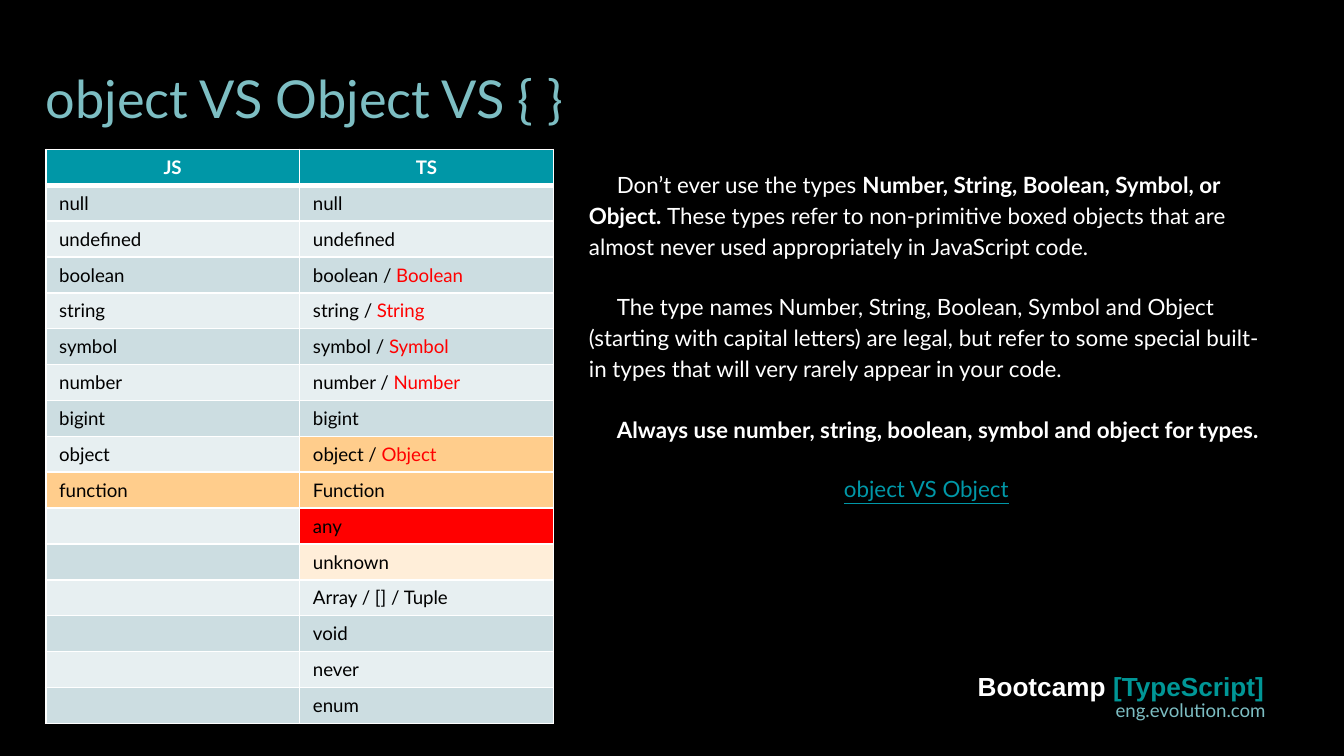
from dataclasses import dataclass

from lxml import etree
from pptx import Presentation
from pptx.dml.color import RGBColor
from pptx.enum import text
from pptx.oxml import ns
from pptx.util import Pt

COLORS = {
    "black": "000000", "white": "FFFFFF", "pale_teal": "7DBEC3",
    "teal": "009696", "header": "0097A7", "dark_band": "CCDDE1",
    "light_band": "E7EFF1", "red": "FF0000", "orange": "FFCD8C",
    "cream": "FFEED9",
}
ALIGN = text.PP_ALIGN
ROW_HEIGHT = 19.2
COLUMN_WIDTH = 136


@dataclass
class Run:
    text: str
    color: str | None = None
    bold: bool | None = None


@dataclass
class Style:
    size: float
    color: str
    font: str = "Lato"
    bold: bool = False
    underline: bool = False
    align: ALIGN = ALIGN.LEFT


@dataclass
class TypeRow:
    js: str
    ts: str
    boxed: str = ""
    js_fill: str | None = None
    ts_fill: str | None = None


TYPE_ROWS = [
    TypeRow("null", "null"),
    TypeRow("undefined", "undefined"),
    TypeRow("boolean", "boolean / ", "Boolean"),
    TypeRow("string", "string / ", "String"),
    TypeRow("symbol", "symbol / ", "Symbol"),
    TypeRow("number", "number / ", "Number"),
    TypeRow("bigint", "bigint"),
    TypeRow("object", "object / ", "Object", ts_fill="orange"),
    TypeRow("function", "Function", js_fill="orange", ts_fill="orange"),
    TypeRow("", "any", ts_fill="red"),
    TypeRow("", "unknown", ts_fill="cream"),
    TypeRow("", "Array / [] / Tuple"),
    TypeRow("", "void"),
    TypeRow("", "never"),
    TypeRow("", "enum"),
]

ADVICE = [
    [Run("Don’t ever use the types "),
     Run("Number, String, Boolean, Symbol, or Object. ", bold=True),
     Run("These types refer to non-primitive boxed objects that are "
         "almost never used appropriately in JavaScript code.")],
    [Run("The type names Number, String, Boolean, Symbol and Object "
         "(starting with capital letters) are legal, but refer to some special "
         "built-in types that will very rarely appear in your code.")],
    [Run("Always use number, string, boolean, symbol and object for types.",
         bold=True)],
]


def rgb(name: str) -> RGBColor:
    return RGBColor.from_string(COLORS[name])


def write(paragraph, runs: list[Run], style: Style) -> None:
    paragraph.alignment = style.align
    font = paragraph.font
    font.name, font.size = style.font, Pt(style.size)
    font.bold, font.underline = style.bold, style.underline
    font.color.rgb = rgb(style.color)
    for item in runs:
        run = paragraph.add_run()
        run.text = item.text
        if item.color:
            run.font.color.rgb = rgb(item.color)
        if item.bold is not None:
            run.font.bold = item.bold


def set_frame(frame, side: float, top: float, wrap: bool = True) -> None:
    frame.margin_left = frame.margin_right = Pt(side)
    frame.margin_top = frame.margin_bottom = Pt(top)
    frame.word_wrap = wrap
    frame.auto_size = text.MSO_AUTO_SIZE.NONE
    frame.vertical_anchor = text.MSO_ANCHOR.TOP


def add_text(slide, box: tuple, insets: tuple, runs: list[Run], style: Style,
             wrap: bool = True) -> None:
    frame = slide.shapes.add_textbox(*map(Pt, box)).text_frame
    set_frame(frame, *insets, wrap)
    write(frame.paragraphs[0], runs, style)


def set_borders(cell, **widths: float) -> None:
    properties = cell._tc.get_or_add_tcPr()
    for side in "LRTB":
        line = etree.SubElement(properties, ns.qn(f"a:ln{side}"),
                                w=str(Pt(widths.get(side, 1))))
        fill = etree.SubElement(line, ns.qn("a:solidFill"))
        etree.SubElement(fill, ns.qn("a:srgbClr"), val=COLORS["white"])


def fill_cell(cell, runs: list[Run], style: Style, fill: str,
              **widths: float) -> None:
    set_borders(cell, **widths)
    cell.fill.solid()
    cell.fill.fore_color.rgb = rgb(fill)
    paragraph = cell.text_frame.paragraphs[0]
    write(paragraph, runs, style)
    if not runs:  # keeps an empty row as low as the others
        etree.SubElement(paragraph._p, ns.qn("a:endParaRPr"),
                         sz=str(int(style.size * 100)))


def add_type_table(slide) -> None:
    row_count = len(TYPE_ROWS) + 1
    table = slide.shapes.add_table(
        row_count, 2, Pt(24.5), Pt(80), Pt(2 * COLUMN_WIDTH),
        Pt(row_count * ROW_HEIGHT)).table
    table.horz_banding = False
    for column in table.columns:
        column.width = Pt(COLUMN_WIDTH)
    for row in table.rows:
        row.height = Pt(ROW_HEIGHT)

    heading = Style(10, "white", bold=True, align=ALIGN.CENTER)
    for column, label in enumerate(("JS", "TS")):
        fill_cell(table.cell(0, column), [Run(label)], heading, "header", B=3)

    body = Style(10, "black")
    for index, row in enumerate(TYPE_ROWS, start=1):
        band = "dark_band" if index % 2 else "light_band"
        top = 3 if index == 1 else 1
        js_runs = [Run(row.js)] if row.js else []
        ts_runs = [Run(row.ts)]
        if row.boxed:
            ts_runs.append(Run(row.boxed, "red"))
        fill_cell(table.cell(index, 0), js_runs, body, row.js_fill or band, T=top)
        fill_cell(table.cell(index, 1), ts_runs, body, row.ts_fill or band, T=top)


def add_advice(slide) -> None:
    frame = slide.shapes.add_textbox(Pt(315.5), Pt(89.5), Pt(362), Pt(152)).text_frame
    set_frame(frame, 0, 0)
    for index, runs in enumerate(ADVICE):
        paragraph = frame.add_paragraph() if index else frame.paragraphs[0]
        paragraph.line_spacing = 1.15
        paragraph.space_after = Pt(16)
        paragraph._p.get_or_add_pPr().set("indent", str(Pt(15)))
        write(paragraph, runs, Style(12, "white"))


def main() -> None:
    presentation = Presentation()
    presentation.slide_width, presentation.slide_height = Pt(720), Pt(405)
    slide = presentation.slides.add_slide(presentation.slide_layouts[5])
    slide.background.fill.solid()
    slide.background.fill.fore_color.rgb = rgb("black")

    # Title
    title = slide.shapes.title
    title.left, title.top, title.width, title.height = map(Pt, (24.5, 35.5, 671, 45))
    set_frame(title.text_frame, 0, 0)
    write(title.text_frame.paragraphs[0], [Run("object VS Object VS { }")],
          Style(28, "pale_teal"))

    # Footer
    add_text(slide, (546, 371, 139, 19), (7.2, 3.6), [Run("eng.evolution.com")],
             Style(10, "pale_teal", align=ALIGN.RIGHT))
    add_text(slide, (516, 352, 169, 36), (7.2, 7.2),
             [Run("Bootcamp "), Run("[TypeScript]", "teal")],
             Style(14, "white", "Arial", bold=True, align=ALIGN.CENTER))

    # Type comparison and advice
    add_type_table(slide)
    add_advice(slide)
    add_text(slide, (444, 251, 104.5, 22), (7.2, 3.6), [Run("object VS Object")],
             Style(12, "header", underline=True, align=ALIGN.CENTER), wrap=False)

    presentation.save("out.pptx")


if __name__ == "__main__":
    main()
